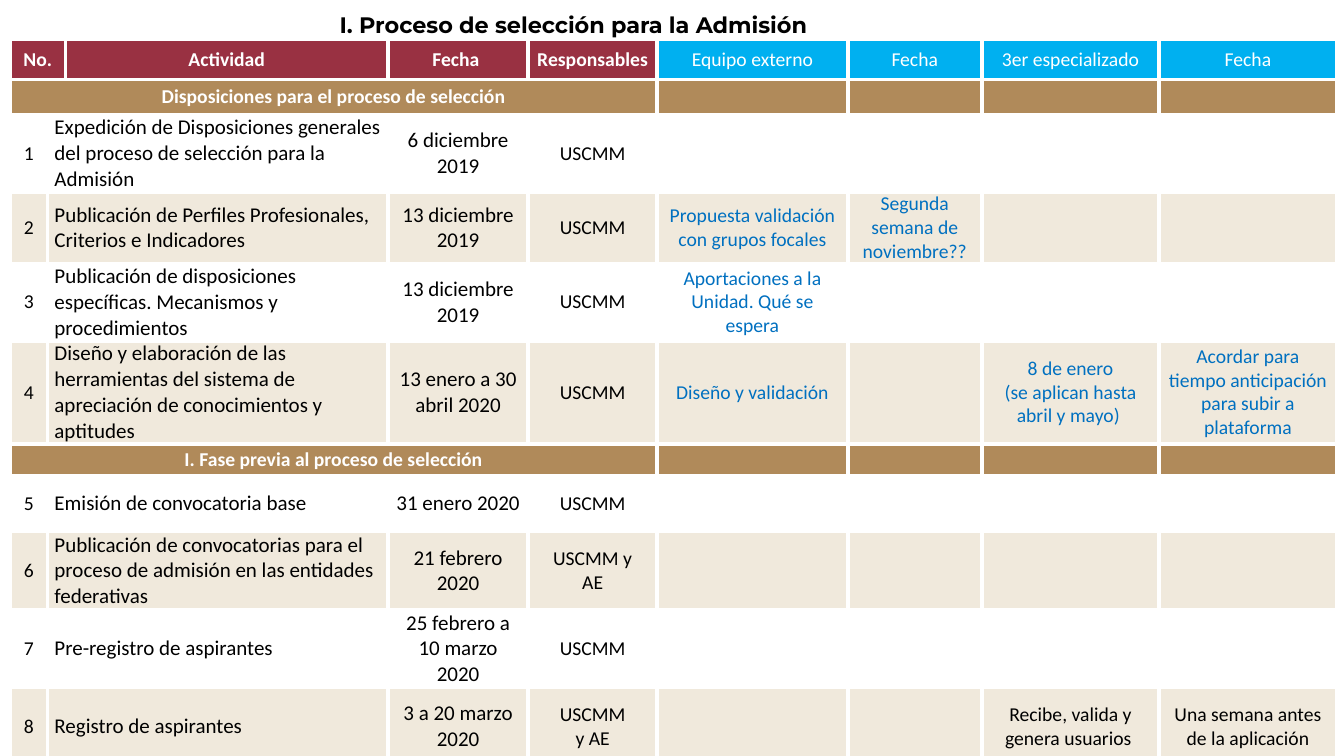
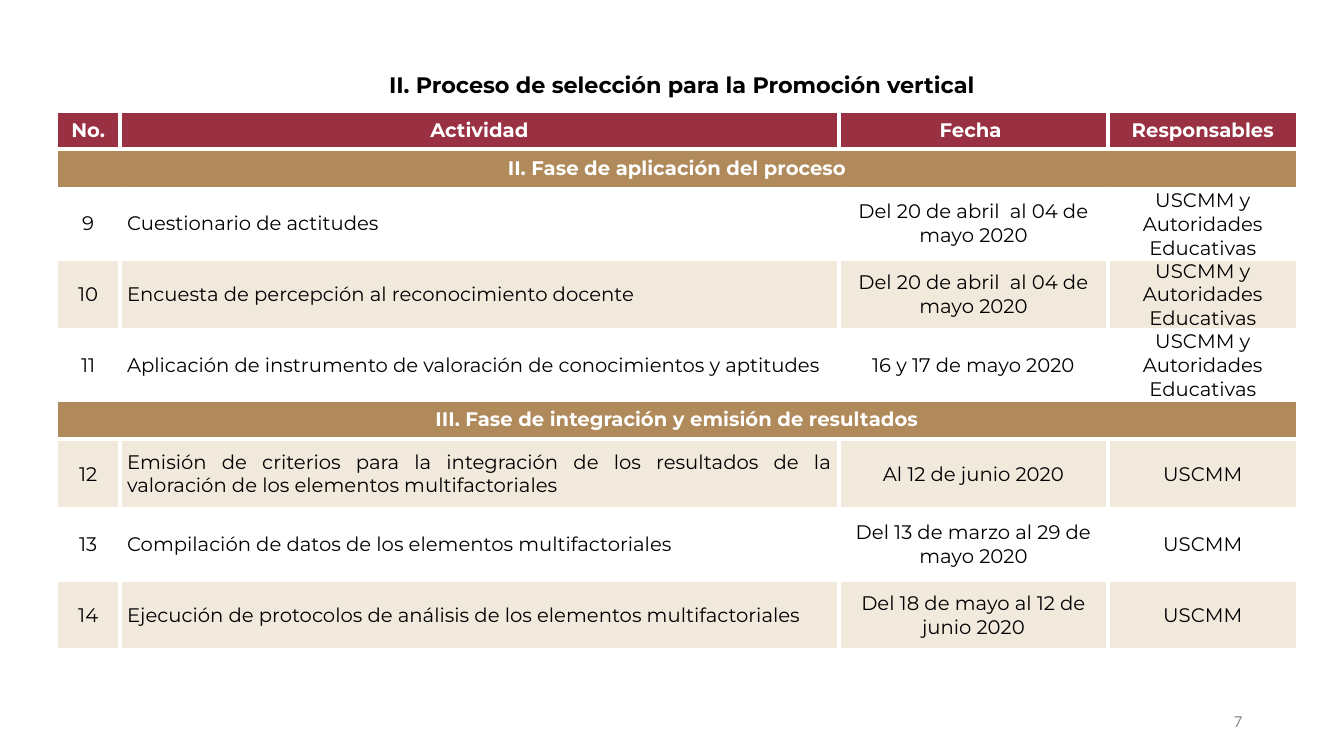
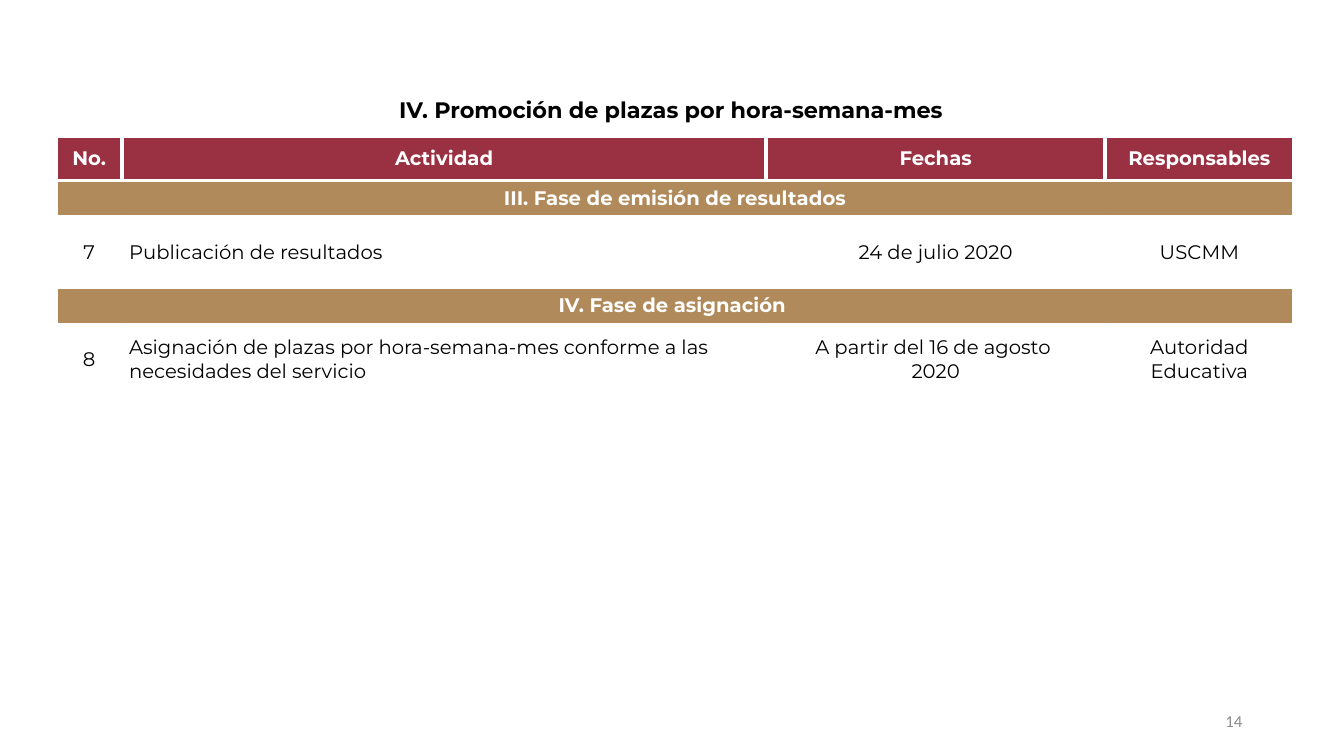
from itertools import zip_longest

from lxml import etree
from pptx import Presentation
from pptx.dml.color import RGBColor
from pptx.enum.text import MSO_ANCHOR, MSO_AUTO_SIZE, PP_ALIGN
from pptx.oxml.ns import qn
from pptx.util import Inches, Pt

LEFT, CENTER, RIGHT, JUSTIFY = PP_ALIGN.LEFT, PP_ALIGN.CENTER, PP_ALIGN.RIGHT, PP_ALIGN.JUSTIFY
MIDDLE = MSO_ANCHOR.MIDDLE
FIT_SHAPE = MSO_AUTO_SIZE.SHAPE_TO_FIT_TEXT

COLORS = {
    "wine": "993142", "gold": "B08A5A", "sand": "F0E9DC", "white": "FFFFFF",
    "sky": "00B0F0", "blue": "0070C0", "black": "000000", "gray": "8C8C8C",
}
TITLE_FONT, NOTE_FONT = "Montserrat", "Calibri"
BODY_SIZE = 14
BODY_ROW = 9.33
BORDER_SIDES = ("a:lnL", "a:lnR", "a:lnT", "a:lnB")


class Deck:
    """Style and current slide; lengths are percentages of the slide's width or height."""

    def __init__(self):
        self.prs = Presentation()
        self.prs.slide_width, self.prs.slide_height = Inches(13.33), Inches(7.5)
        self.slide = None

    def x(self, share):
        return round(self.prs.slide_width * share / 100)

    def y(self, share):
        return round(self.prs.slide_height * share / 100)

    def new_slide(self):
        self.slide = self.prs.slides.add_slide(self.prs.slide_layouts[6])

    def set_text(self, frame, text, font, size=BODY_SIZE, color="black", bold=False, align=LEFT):
        frame.text = text
        for paragraph in frame.paragraphs:
            paragraph.alignment = align
            for run in paragraph.runs:
                run.font.name, run.font.size, run.font.bold = font, Pt(size), bold
                run.font.color.rgb = RGBColor.from_string(COLORS[color])

    def text_frame(self, left, top, width, height):
        box = self.slide.shapes.add_textbox(self.x(left), self.y(top), self.x(width), self.y(height))
        return box.text_frame

    def title(self, text, left, top, width):
        frame = self.text_frame(left, top, width, 4.93)
        frame.word_wrap, frame.auto_size = False, FIT_SHAPE
        self.set_text(frame, text, TITLE_FONT, 16, bold=True)

    def page_number(self, number):
        frame = self.text_frame(70.67, 92.67, 22.5, 5.33)
        frame.word_wrap, frame.vertical_anchor = True, MIDDLE
        self.set_text(frame, number, NOTE_FONT, 12, "gray", align=RIGHT)

    def prepare_cell(self, cell):
        """Set the insets, the anchor and the white borders of a cell."""
        cell.margin_left = cell.margin_right = Inches(0.07)
        cell.margin_top = cell.margin_bottom = 0
        cell.vertical_anchor = MIDDLE
        properties = cell._tc.get_or_add_tcPr()
        for side in BORDER_SIDES:
            line = etree.SubElement(properties, qn(side), w=str(Pt(3)))
            solid = etree.SubElement(line, qn("a:solidFill"))
            etree.SubElement(solid, qn("a:srgbClr"), val=COLORS["white"])

    def schedule(self, left, top, widths, rows):
        """Add an empty table; rows are (height, contents) pairs."""
        frame = self.slide.shapes.add_table(
            len(rows), len(widths), self.x(left), self.y(top),
            self.x(sum(widths)), self.y(sum(height for height, _ in rows)))
        table = frame.table
        table.first_row = table.horz_banding = False
        for column, width in zip(table.columns, widths):
            column.width = self.x(width)
        for row, (height, _) in zip(table.rows, rows):
            row.height = self.y(height)
        for cell in table.iter_cells():
            self.prepare_cell(cell)
        return table

    def fill_row(self, table, row, starts, texts, fills, styles):
        """Fill one row whose cells begin at the given columns, merging up to the next start."""
        ends = starts[1:] + [len(table.columns)]
        for start, end, text, fill, style in zip_longest(starts, ends, texts, fills, styles):
            cell = table.cell(row, start)
            if end - start > 1:
                cell.merge(table.cell(row, end - 1))
            cell.fill.solid()
            cell.fill.fore_color.rgb = RGBColor.from_string(COLORS[fill])
            if text:
                self.set_text(cell.text_frame, text, **style)

    def activities(self, left, top, widths, rows, font=TITLE_FONT, detail_size=BODY_SIZE,
                   header_starts=None, body_starts=None, justified=(), black_notes=(), striped=True):
        """Draw a schedule: first row headings, one-text rows phase bands, the rest activities.

        Columns after the four main ones hold notes of the external teams.
        """
        table = self.schedule(left, top, widths, rows)
        every_column = list(range(len(widths)))
        header_starts, body_starts = header_starts or every_column, body_starts or every_column
        notes = len(header_starts) - 4
        band_starts = [0] + every_column[len(widths) - notes:]
        heading = dict(font=font, color="white", bold=True, align=CENTER)
        note_heading = {**heading, "bold": False}
        body = dict(font=font, align=CENTER)
        detail = {**body, "size": detail_size}

        for index, (_, texts) in enumerate(rows):
            if index == 0:
                starts = header_starts
                fills = ["wine"] * 4 + ["sky"] * notes
                styles = [heading] * 4 + [note_heading] * notes
            elif len(texts) == 1:
                starts, fills = band_starts, ["gold"] * len(band_starts)
                styles = [heading] * len(band_starts)
            else:
                number = texts[0]
                starts = body_starts
                shade = "sand" if striped and int(number) % 2 == 0 else "white"
                fills = [shade] * len(starts)
                activity = {**detail, "align": JUSTIFY if number in justified else LEFT}
                note = {**body, "color": "black" if number in black_notes else "blue"}
                styles = [body, activity, detail, body] + [note] * notes
            self.fill_row(table, index, starts, texts, fills, styles)


def admission(deck):
    deck.new_slide()
    deck.activities(
        0.75, 5.2, [2.78, 0.98, 24, 10.43, 9.6, 14.18, 9.98, 13.2, 13.2],
        [
            (5.33, ["No.", "Actividad", "Fecha ", "Responsables",
                    "Equipo externo", "Fecha", "3er especializado", "Fecha"]),
            (4.67, ["Disposiciones para el proceso de selección"]),
            (8, ["1", "Expedición de Disposiciones generales del proceso de selección para la Admisión",
                 "6 diciembre 2019", "USCMM"]),
            (6.93, ["2", "Publicación de Perfiles Profesionales, Criterios e Indicadores",
                    "13 diciembre 2019", "USCMM",
                    "Propuesta validación con grupos focales", "Segunda semana de noviembre??"]),
            (7.6, ["3", "Publicación de disposiciones específicas. Mecanismos y procedimientos",
                   "13 diciembre 2019", "USCMM", "Aportaciones a la Unidad. Qué se espera"]),
            (10.4, ["4", "Diseño y elaboración de las herramientas del sistema de apreciación "
                         "de conocimientos y aptitudes",
                    "13 enero a 30 abril 2020", "USCMM", "Diseño y validación", "",
                    "8 de enero\n(se aplican hasta abril y mayo) ",
                    "Acordar para tiempo anticipación para subir a plataforma"]),
            (4.27, ["I. Fase previa al proceso de selección"]),
            (7.33, ["5", "Emisión de convocatoria base", "31 enero 2020", "USCMM"]),
            (10.4, ["6", "Publicación de convocatorias para el proceso de admisión "
                         "en las entidades federativas",
                    "21 febrero 2020", "USCMM y\nAE"]),
            (8, ["7", "Pre-registro de aspirantes ", "25 febrero a 10 marzo 2020", "USCMM"]),
            (10.4, ["8", "Registro de aspirantes", "3 a 20 marzo 2020", "USCMM\ny AE", "", "",
                    "Recibe, valida y genera usuarios ", "Una semana antes de la aplicación"]),
        ],
        font=NOTE_FONT, detail_size=15, justified=("7",), black_notes=("8",),
        header_starts=[0, 2, 3, 4, 5, 6, 7, 8], body_starts=[0, 1, 3, 4, 5, 6, 7, 8])
    deck.title("I. Proceso de selección para la Admisión", 24.53, 0.8, 36.91)


def vertical_promotion(deck):
    deck.new_slide()
    deck.page_number("7")
    survey_dates = "Del 20 de abril  al 04 de mayo 2020"
    authorities = "USCMM y Autoridades Educativas"
    deck.activities(
        4.2, 14.67, [4.73, 53.49, 20.03, 14.1],
        [
            (5.07, ["No.", "Actividad", "Fecha ", "Responsables"]),
            (5.2, ["II. Fase de aplicación del proceso"]),
            (BODY_ROW, ["9", "Cuestionario de actitudes", survey_dates, authorities]),
            (BODY_ROW, ["10", "Encuesta de percepción al reconocimiento docente",
                        survey_dates, authorities]),
            (BODY_ROW, ["11", "Aplicación de instrumento de valoración de conocimientos y aptitudes",
                        "16 y 17 de mayo 2020", authorities]),
            (5.07, ["III. Fase de integración y emisión de resultados"]),
            (BODY_ROW, ["12", "Emisión de criterios para la integración de los resultados "
                              "de la valoración de los elementos multifactoriales ",
                        "Al 12 de junio 2020", "USCMM"]),
            (BODY_ROW, ["13", "Compilación de datos de los elementos multifactoriales",
                        "Del 13 de marzo al 29 de mayo 2020", "USCMM"]),
            (BODY_ROW, ["14", "Ejecución de protocolos de análisis de los elementos multifactoriales",
                        "Del 18 de mayo al 12 de junio 2020", "USCMM"]),
        ],
        justified=("12", "13"))
    deck.title("II. Proceso de selección para la Promoción vertical", 28.21, 8.8, 45.91)


def weekly_hours_promotion(deck):
    deck.new_slide()
    deck.page_number("14")
    deck.activities(
        4.2, 18, [4.88, 47.94, 25.21, 14.03],
        [
            (5.87, ["No.", "Actividad", "Fechas", "Responsables"]),
            (4.8, ["III. Fase de emisión de resultados"]),
            (BODY_ROW, ["7", "Publicación de resultados", "24 de julio 2020", "USCMM"]),
            (4.93, ["IV. Fase de asignación "]),
            (BODY_ROW, ["8", "Asignación de plazas por hora-semana-mes conforme a las "
                             "necesidades del servicio",
                        "A partir del 16 de agosto \n2020", "Autoridad Educativa"]),
        ],
        striped=False)
    deck.title("IV. Promoción de plazas por hora-semana-mes", 28.96, 12, 42.61)


def main():
    deck = Deck()
    admission(deck)
    vertical_promotion(deck)
    weekly_hours_promotion(deck)
    deck.prs.save("out.pptx")


if __name__ == "__main__":
    main()
